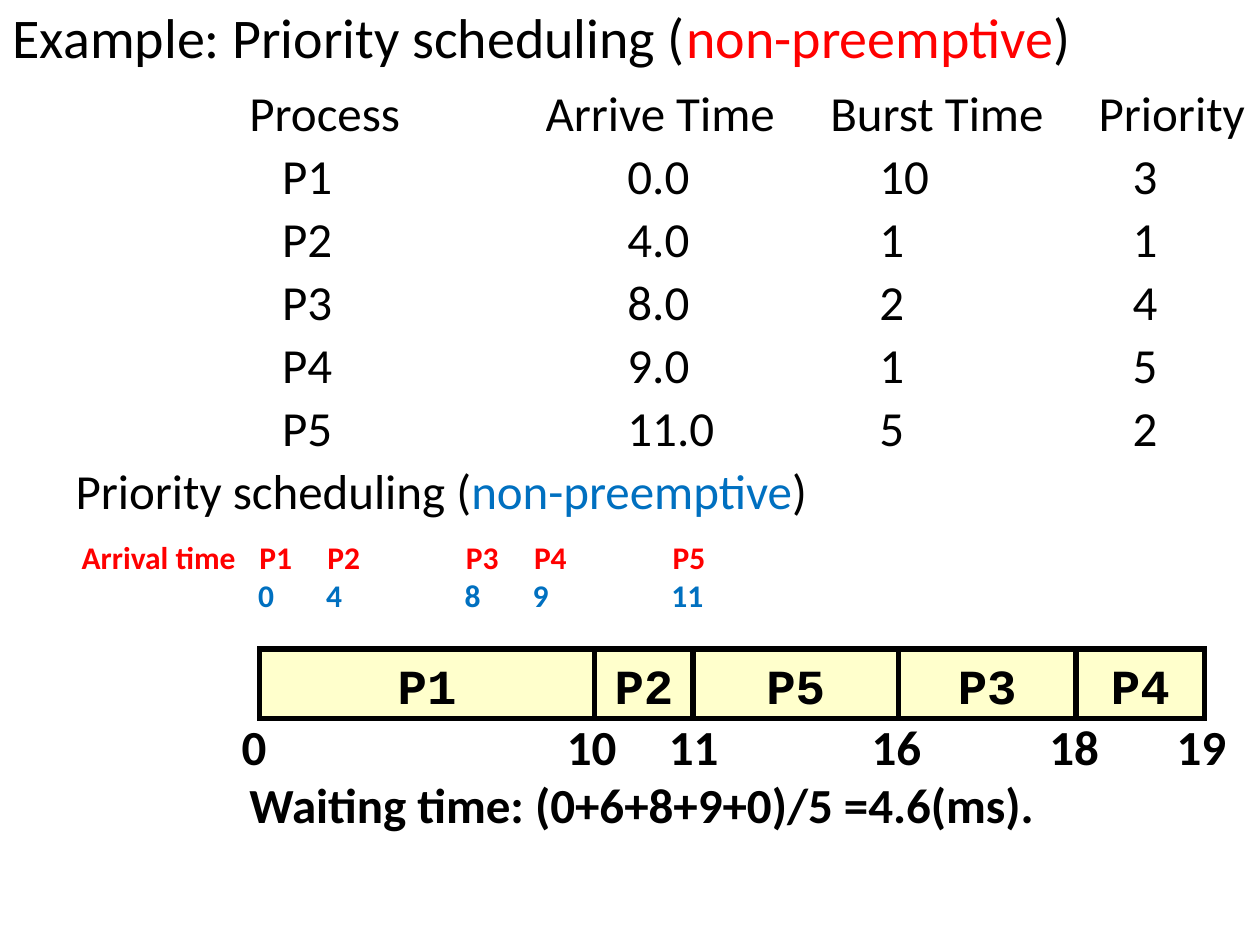
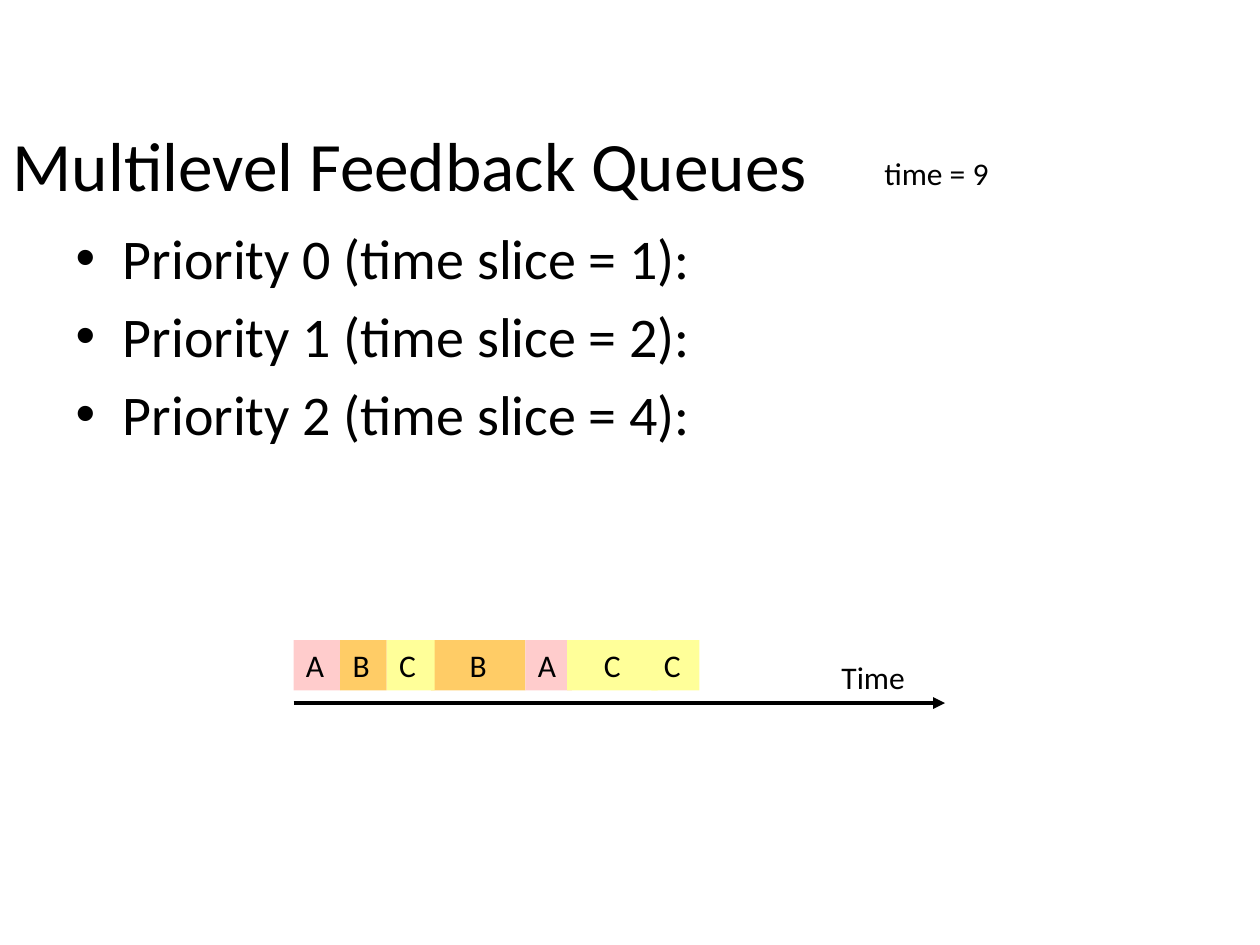
import pptx
import pptx.dml.color
import pptx.enum.shapes
import pptx.enum.text
import pptx.oxml
import pptx.oxml.ns
import pptx.util
from pptx.util import Inches

COLORS = {
    "black": "000000", "red": "FF0000", "blue": "0070C0", "cream": "FFFFCC",
    "pink": "FFCCCC", "orange": "FFCC66", "yellow": "FFFF99",
}
ALIGN = pptx.enum.text.PP_ALIGN
ANCHOR = pptx.enum.text.MSO_ANCHOR


def rgb(name):
    return pptx.dml.color.RGBColor.from_string(COLORS[name])


def add_text(paragraph, text, size=18, color="black", bold=False, font="Calibri"):
    run = paragraph.add_run()
    run.text = text
    run.font.size = pptx.util.Pt(size)
    run.font.name = font
    run.font.bold = bold
    run.font.color.rgb = rgb(color)


def add_child(parent, tag, **attributes):
    child = pptx.oxml.parse_xml(f"<a:{tag} {pptx.oxml.ns.nsdecls('a')}/>")
    for name, value in attributes.items():
        child.set(name, str(value))
    parent.append(child)


def format_plain(paragraph, indent, hanging=0):
    """Remove the bullet and set the indents, in inches."""
    paragraph.line_spacing = 0.9
    properties = paragraph._p.get_or_add_pPr()
    properties.set("marL", str(Inches(indent)))
    properties.set("indent", str(-Inches(hanging)))
    add_child(properties, "buNone")


class Deck:
    def __init__(self):
        self.presentation = pptx.Presentation()
        self.presentation.slide_width = Inches(10)
        self.presentation.slide_height = Inches(7.5)
        self.slide = None

    def new_slide(self):
        self.slide = self.presentation.slides.add_slide(self.presentation.slide_layouts[1])

    def place(self, shape, left, top, width, height):
        shape.left, shape.top = Inches(left), Inches(top)
        shape.width, shape.height = Inches(width), Inches(height)
        shape.text_frame.auto_size = pptx.enum.text.MSO_AUTO_SIZE.NONE
        return shape.text_frame

    def title(self, parts, top, width, height, size):
        frame = self.place(self.slide.shapes.title, 0, top, width, height)
        frame.vertical_anchor = ANCHOR.MIDDLE
        paragraph = frame.paragraphs[0]
        paragraph.alignment = ALIGN.LEFT
        for text, color in parts:
            add_text(paragraph, text, size=size, color=color)

    def body(self, top, height, count):
        """Place the body and return its paragraphs."""
        frame = self.place(self.slide.placeholders[1], 0.5, top, 9.5, height)
        for _ in range(count - 1):
            frame.add_paragraph()
        return frame.paragraphs

    def table(self, rows, left, top, widths, row_height, value_indents, **text_format):
        """Add a table without fills, its values indented below their headings."""
        table = self.slide.shapes.add_table(
            len(rows), len(widths), Inches(left), Inches(top),
            Inches(sum(widths)), Inches(row_height * len(rows))).table
        table.first_row = table.horz_banding = False
        for column, width in zip(table.columns, widths):
            column.width = Inches(width)
        for row_index, row in enumerate(rows):
            table.rows[row_index].height = Inches(row_height)
            for column_index, text in enumerate(row):
                cell = table.cell(row_index, column_index)
                cell.fill.background()
                cell.vertical_anchor = ANCHOR.MIDDLE
                cell.margin_top = cell.margin_bottom = cell.margin_right = 0
                cell.margin_left = Inches(value_indents[column_index] if row_index else 0)
                add_text(cell.text_frame.paragraphs[0], text, **text_format)

    def label(self, text, left, top, width, height=0.4, **text_format):
        box = self.slide.shapes.add_textbox(0, 0, 0, 0)
        frame = self.place(box, left, top, width, height)
        frame.word_wrap = False
        add_text(frame.paragraphs[0], text, **text_format)

    def block(self, text, left, top, width, height, fill, outline=None,
              align=ALIGN.CENTER, **text_format):
        shape = self.slide.shapes.add_shape(
            pptx.enum.shapes.MSO_SHAPE.RECTANGLE, 0, 0, 0, 0)
        frame = self.place(shape, left, top, width, height)
        shape.shadow.inherit = False
        shape.fill.solid()
        shape.fill.fore_color.rgb = rgb(fill)
        if outline:
            shape.line.color.rgb = rgb("black")
            shape.line.width = pptx.util.Pt(outline)
            add_child(shape.line._get_or_add_ln(), "miter", lim=800000)
        else:
            shape.line.fill.background()
        frame.word_wrap = True
        frame.vertical_anchor = ANCHOR.TOP
        frame.paragraphs[0].alignment = align
        add_text(frame.paragraphs[0], text, **text_format)

    def arrow(self, left, right, y):
        line = self.slide.shapes.add_connector(
            pptx.enum.shapes.MSO_CONNECTOR.STRAIGHT,
            Inches(left), Inches(y), Inches(right), Inches(y))
        line.line.color.rgb = rgb("black")
        line.line.width = pptx.util.Pt(2.25)
        add_child(line.line._get_or_add_ln(), "tailEnd", type="triangle")
        add_child(line._element.spPr, "effectLst")


def build_priority_slide(deck):
    deck.new_slide()
    deck.title([("Example: Priority scheduling (", "black"), ("non-preemptive", "red"),
                (")", "black")], top=-0.08, width=10, height=0.74, size=32)

    processes = [
        ("Process", "Arrive Time", "Burst Time", "Priority"),
        ("P1", "0.0", "10", "3"),
        ("P2", "4.0", "1", "1"),
        ("P3", "8.0", "2", "4"),
        ("P4", "9.0", "1", "5"),
        ("P5", "11.0", "5", "2"),
    ]
    deck.table(processes, 1.98, 0.66, widths=(2.35, 2.26, 2.13, 1.28), row_height=0.5,
               value_indents=(0.26, 0.65, 0.39, 0.27), size=28)

    heading, waiting = deck.body(3.66, 3.43, 2)
    format_plain(heading, indent=0.38, hanging=0.38)
    for text, color in [("Priority scheduling (", "black"), ("non-preemptive", "blue"),
                        (")", "black")]:
        add_text(heading, text, size=28, color=color)
    waiting.space_before = pptx.util.Pt(149)
    format_plain(waiting, indent=1.38)
    add_text(waiting, "Waiting time: (0+6+8+9+0)/5 =4.6(ms).", size=28, bold=True)

    edges = [2.06, 4.72, 5.5, 7.13, 8.54, 9.56]
    for name, left, right in zip(["P1", "P2", "P5", "P3", "P4"], edges, edges[1:]):
        deck.block(name, left, 5.15, right - left, 0.55, "cream", outline=3,
                   size=28, bold=True, font="Courier New")
    ticks = [("0", 1.82), ("10", 4.4), ("11", 5.21), ("16", 6.82), ("18", 8.23), ("19", 9.24)]
    for time, left in ticks:
        deck.label(time, left, 5.64, 0.2 + 0.2 * len(time), 0.57, size=28, bold=True)

    deck.label("Arrival time", 0.55, 4.22, 1.43, color="red", bold=True)
    arrivals = [("P1", "0", 1.96), ("P2", "4", 2.5), ("P3", "8", 3.6),
                ("P4", "9", 4.14), ("P5", "11", 5.24)]
    for name, time, left in arrivals:
        deck.label(name, left, 4.22, 0.47, color="red", bold=True)
        deck.label(time, left - 0.01, 4.52, 0.2 + 0.13 * len(time), color="blue", bold=True)


def build_feedback_slide(deck):
    deck.new_slide()
    deck.title([("Multilevel Feedback Queues", "black")],
               top=0.94, width=9, height=0.72, size=39.6)
    for level, paragraph in enumerate(deck.body(1.72, 5.61, 3)):
        add_text(paragraph, f"Priority {level} (time slice = {2 ** level}):", size=32)
    deck.label("time = 9", 6.92, 1.17, 1.1)

    fills = {"A": "pink", "B": "orange", "C": "yellow"}
    time_slices = [("B", 3.42, 0.75), ("A", 2.33, 0.37), ("B", 2.7, 0.37), ("C", 3.07, 0.38),
                   ("A", 4.17, 0.37), ("C", 4.5, 0.72), ("C", 5.17, 0.38)]
    for job, left, width in time_slices:
        deck.block(job, left, 5.08, width, 0.4, fills[job],
                   align=ALIGN.CENTER if width > 0.5 else ALIGN.LEFT)
    deck.arrow(2.33, 7.5, 5.58)
    deck.label("Time", 6.58, 5.17, 0.76)


def main():
    deck = Deck()
    build_priority_slide(deck)
    build_feedback_slide(deck)
    deck.presentation.save("out.pptx")


if __name__ == "__main__":
    main()
